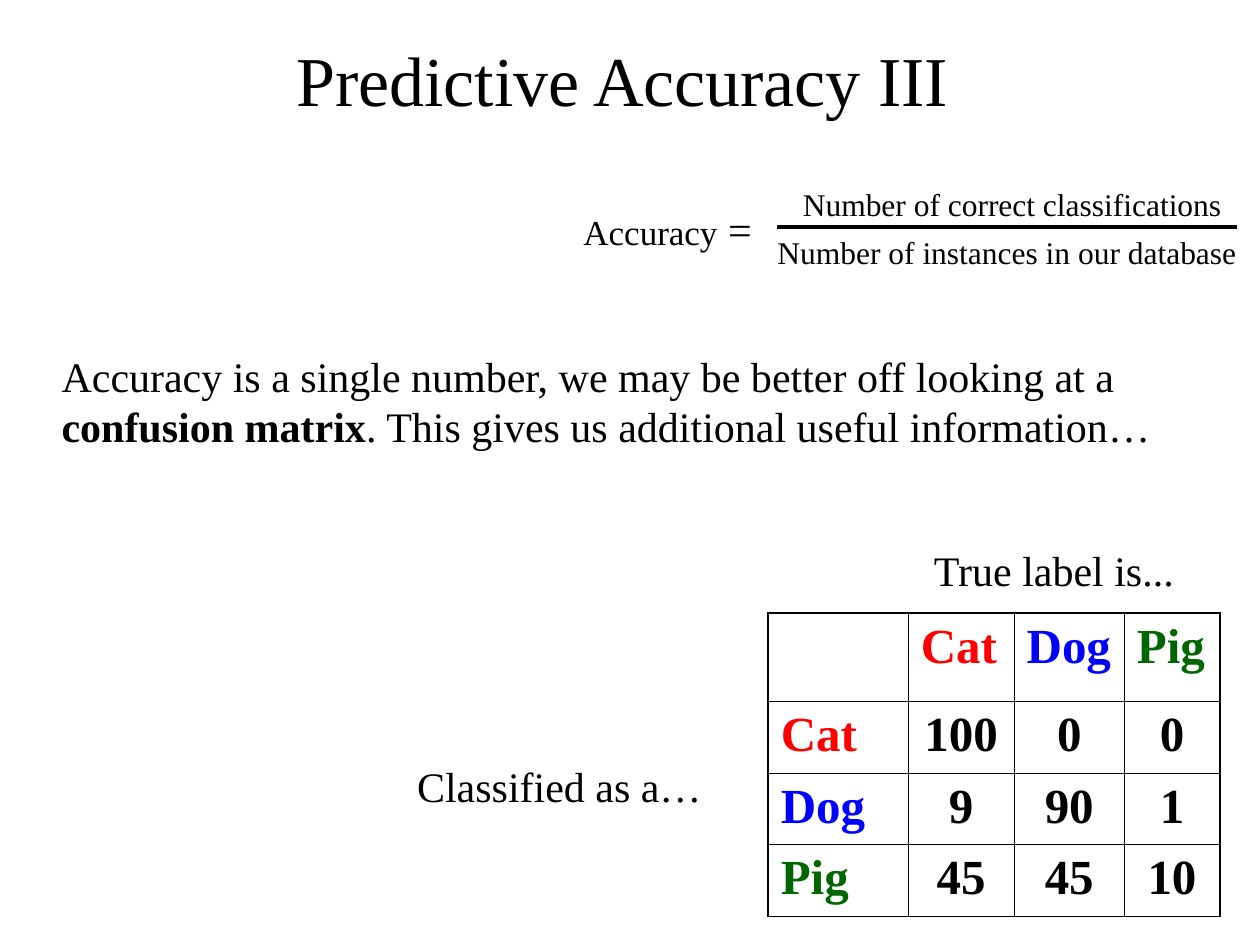
import dataclasses
from typing import Optional

import pptx
import pptx.dml.color
import pptx.enum.shapes
import pptx.enum.text
import pptx.oxml
import pptx.oxml.ns
import pptx.util
from lxml import etree

Pt = pptx.util.Pt
ALIGN = pptx.enum.text.PP_ALIGN
FONT = "Times New Roman"
BLACK = "000000"
ANIMAL_COLORS = {"Cat": "FF0000", "Dog": "0000FF", "Pig": "006600"}
CONFUSION_MATRIX = [[100, 0, 0], [9, 90, 1], [45, 45, 10]]
COLUMN_WIDTHS = [80, 60.5, 63, 54.5]
ROW_HEIGHTS = [50.4, 41, 41, 41]
OUTER_BORDER, INNER_BORDER = 1.08, 0.45


@dataclasses.dataclass(frozen=True)
class Run:
    text: str
    size: float = 24
    bold: bool = False
    color: str = BLACK


@dataclasses.dataclass(frozen=True)
class TextBox:
    left: float
    top: float
    width: float
    height: float
    paragraphs: list[list[Run]]
    align: Optional[ALIGN] = ALIGN.CENTER
    wrap: bool = False


TEXT_BOXES = [
    TextBox(326.2, 113, 116.6, 36, [[Run("Accuracy", 20), Run(" = ")]]),
    TextBox(437, 102.2, 283, 57.6, [
        [Run("Number of correct classifications", 18)],
        [Run("Number of instances in our database", 18), Run(" ")],
    ]),
    TextBox(28.1, 196.6, 642.2, 64.8, [[
        Run("Accuracy is a single number, we may be better off looking at a "),
        Run("confusion matrix", bold=True),
        Run(". This gives us additional useful information…"),
    ]], align=ALIGN.LEFT, wrap=True),
    TextBox(231.1, 431.3, 177.1, 36, [[Run("Classified as a…")]]),
    TextBox(526.3, 307.4, 151.9, 36, [[Run("True label is...")]]),
]


def rgb(color: str) -> pptx.dml.color.RGBColor:
    return pptx.dml.color.RGBColor.from_string(color)


def write_runs(paragraph, runs: list[Run], align: ALIGN) -> None:
    paragraph.alignment = align
    for item in runs:
        run = paragraph.add_run()
        run.text = item.text
        run.font.name = FONT
        run.font.size = Pt(item.size)
        run.font.bold = item.bold
        run.font.color.rgb = rgb(item.color)


def add_title(slide, text: str) -> None:
    title = slide.shapes.title
    title.left, title.top, title.width, title.height = Pt(49.7), Pt(0), Pt(612), Pt(90)
    title.text_frame.vertical_anchor = pptx.enum.text.MSO_ANCHOR.MIDDLE
    write_runs(title.text_frame.paragraphs[0], [Run(text, 40)], ALIGN.CENTER)


def add_text_box(slide, box: TextBox) -> None:
    shape = slide.shapes.add_textbox(Pt(box.left), Pt(box.top), Pt(box.width), Pt(box.height))
    frame = shape.text_frame
    frame.word_wrap = box.wrap
    frame.auto_size = pptx.enum.text.MSO_AUTO_SIZE.SHAPE_TO_FIT_TEXT
    for index, runs in enumerate(box.paragraphs):
        paragraph = frame.add_paragraph() if index else frame.paragraphs[0]
        write_runs(paragraph, runs, box.align)


def add_fraction_bar(slide) -> None:
    bar = slide.shapes.add_connector(
        pptx.enum.shapes.MSO_CONNECTOR.STRAIGHT, Pt(707), Pt(129.8), Pt(444.2), Pt(129.8))
    bar.line.color.rgb = rgb(BLACK)
    bar.line.width = Pt(2)
    etree.SubElement(bar._element.spPr, pptx.oxml.ns.qn("a:effectLst"))


def set_borders(cell, widths: dict[str, float]) -> None:
    """Put the border lines ahead of the cell's fill, in schema order."""
    properties = cell._tc.get_or_add_tcPr()
    for index, (side, width) in enumerate(widths.items()):
        properties.insert(index, pptx.oxml.parse_xml(
            f'<a:ln{side} {pptx.oxml.ns.nsdecls("a")} w="{int(Pt(width))}">'
            f'<a:solidFill><a:srgbClr val="{BLACK}"/></a:solidFill></a:ln{side}>'))


def add_confusion_matrix(slide) -> None:
    animals = list(ANIMAL_COLORS)
    rows = [["", *animals]]
    rows += [[animal, *map(str, counts)] for animal, counts in zip(animals, CONFUSION_MATRIX)]
    last = len(rows) - 1
    table = slide.shapes.add_table(
        len(rows), len(rows), Pt(439), Pt(350.4),
        Pt(sum(COLUMN_WIDTHS)), Pt(sum(ROW_HEIGHTS))).table
    for column, width in zip(table.columns, COLUMN_WIDTHS):
        column.width = Pt(width)
    for row, height in zip(table.rows, ROW_HEIGHTS):
        row.height = Pt(height)
    for i, texts in enumerate(rows):
        for j, text in enumerate(texts):
            cell = table.cell(i, j)
            cell.fill.background()
            outer_sides = {"L": j == 0, "R": j == last, "T": i == 0, "B": i == last}
            set_borders(cell, {side: OUTER_BORDER if outer else INNER_BORDER
                               for side, outer in outer_sides.items()})
            if text:
                color = ANIMAL_COLORS.get(text, BLACK)
                align = ALIGN.LEFT if text in ANIMAL_COLORS else ALIGN.CENTER
                write_runs(cell.text_frame.paragraphs[0], [Run(text, 28, True, color)], align)


def main() -> None:
    presentation = pptx.Presentation()
    presentation.slide_width, presentation.slide_height = Pt(720), Pt(540)
    slide = presentation.slides.add_slide(presentation.slide_layouts.get_by_name("Title Only"))
    add_title(slide, "Predictive Accuracy III")
    for box in TEXT_BOXES:
        add_text_box(slide, box)
    add_fraction_bar(slide)
    add_confusion_matrix(slide)
    presentation.save("out.pptx")


if __name__ == "__main__":
    main()
